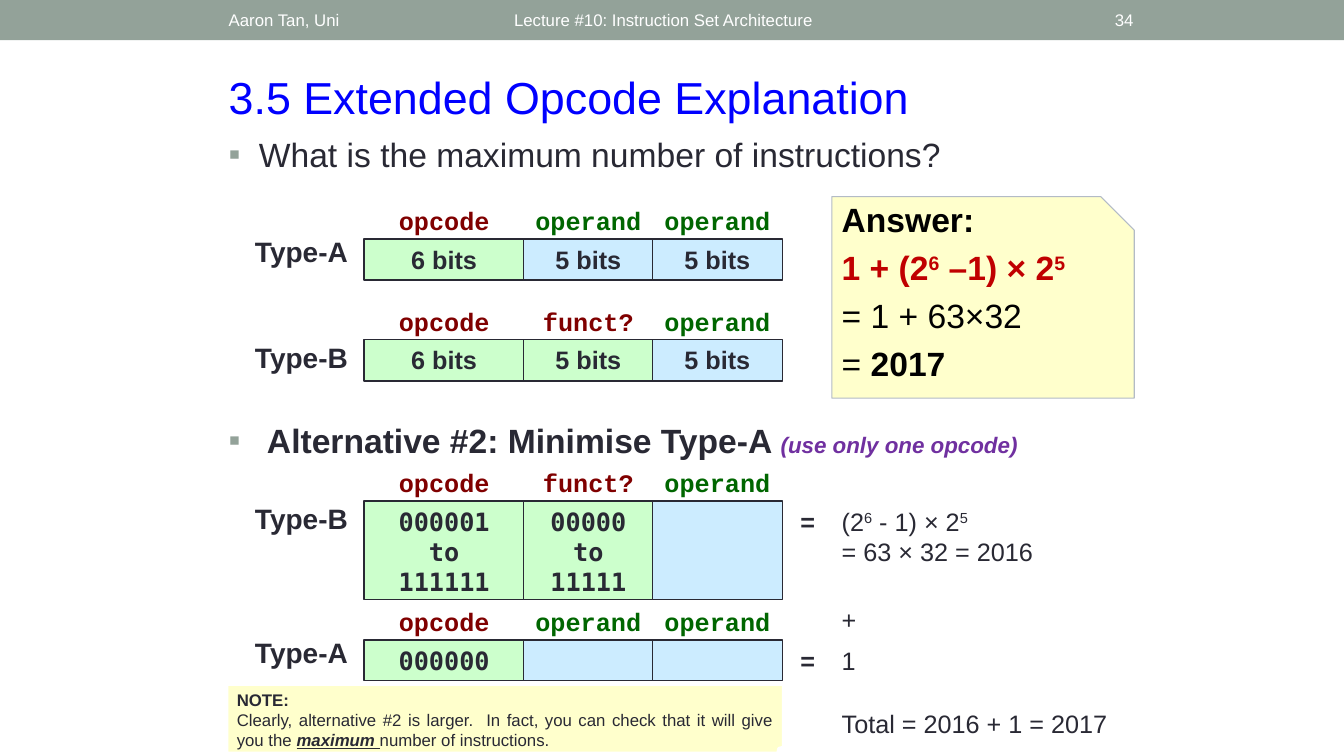
"""Build the slide on the maximum number of instructions with an extended opcode."""
from lxml import etree
from pptx import Presentation, util as u
from pptx.dml.color import RGBColor
from pptx.enum import shapes, text
from pptx.oxml import ns

INK, SAGE, WHITE, BLACK = "292934", "93A299", "FFFFFF", "000000"
MAROON, FOREST, RED, PURPLE = "800000", "006600", "C00000", "7030A0"
GREEN, BLUE, CREAM = "CCFFCC", "CCECFF", "FFFFCC"
LEFT, CENTER, RIGHT, JUSTIFY = (
    text.PP_ALIGN.LEFT, text.PP_ALIGN.CENTER, text.PP_ALIGN.RIGHT, text.PP_ALIGN.JUSTIFY)
TOP, MIDDLE = text.MSO_ANCHOR.TOP, text.MSO_ANCHOR.MIDDLE

deck = Presentation()
deck.slide_width, deck.slide_height = u.Inches(13.33), u.Inches(7.5)
slide = deck.slides.add_slide(deck.slide_layouts[6])


def place(box, preset=None, fill=None, line=None, weight=1):
    """Add a text box, or a filled preset shape, at box in inches."""
    box = [u.Inches(length) for length in box]
    if preset is None:
        return slide.shapes.add_textbox(*box)
    item = slide.shapes.add_shape(preset, *box)
    item.shadow.inherit = False
    item.fill.solid()
    item.fill.fore_color.rgb = RGBColor.from_string(fill)
    if line:
        item.line.color.rgb = RGBColor.from_string(line)
        item.line.width = u.Pt(weight)
    else:
        item.line.fill.background()
    return item


def write(item, paragraphs, size=18, color=INK, font="Arial", bold=False,
          align=LEFT, anchor=TOP, gap=0, bullet=0):
    """Write paragraphs, each a string or a list of (words, changes) runs."""
    frame = item.text_frame
    frame.word_wrap = True
    frame.vertical_anchor = anchor
    for index, runs in enumerate(paragraphs):
        paragraph = frame.add_paragraph() if index else frame.paragraphs[0]
        paragraph.alignment = align
        if index:
            paragraph.space_before = u.Pt(gap)
        if bullet:
            props = paragraph._p.get_or_add_pPr()
            props.set("marL", str(u.Inches(bullet)))
            props.set("indent", str(-u.Inches(bullet)))
            tint = etree.SubElement(props, ns.qn("a:buClr"))
            etree.SubElement(tint, ns.qn("a:srgbClr"), val=SAGE)
            etree.SubElement(props, ns.qn("a:buFont"), typeface="Arial")
            etree.SubElement(props, ns.qn("a:buChar"), char="▪")
        for words, changes in [(runs, {})] if isinstance(runs, str) else runs:
            run = paragraph.add_run()
            run.text = words
            run.font.name = font
            run.font.size = u.Pt(changes.get("size", size))
            run.font.bold = changes.get("bold", bold)
            run.font.italic = changes.get("italic", False)
            run.font.underline = changes.get("underline", False)
            run.font.color.rgb = RGBColor.from_string(changes.get("color", color))
            if changes.get("power"):
                run._r.get_or_add_rPr().set("baseline", "30000")
    return frame


place((0, 0, 13.33, 0.4), shapes.MSO_SHAPE.RECTANGLE, SAGE)
for left, width, words, align in [
    (2.17, 3.17, "Aaron Tan, Uni", LEFT),
    (5, 6, "Lecture #10: Instruction Set Architecture", LEFT),
    (10.39, 0.95, "34", RIGHT),
]:
    write(place((left, 0.02, width, 0.36)), [words], 12, WHITE, align=align, anchor=MIDDLE)

write(place((2.17, 0.64, 9.17, 0.64)), ["3.5 Extended Opcode Explanation"], 32, "0000FF")
write(place((2.17, 1.28, 9, 0.92)), ["What is the maximum number of instructions?"],
      24, bullet=0.3)
write(place((2.17, 4.12, 8.83, 0.6)), [[
    ("Alternative #2: Minimise Type-A ", {}),
    ("(use only one opcode)", {"size": 16, "color": PURPLE, "italic": True}),
]], 24, bold=True, bullet=0.38)

columns = [(3.61, 1.59), (5.19, 1.29), (6.47, 1.29)]
heading_width = 1.21
name_rise = {"Type-A": 0.09, "Type-B": 0.04}
fields = {
    "Type-A": [("opcode", MAROON, GREEN), ("operand", FOREST, BLUE), ("operand", FOREST, BLUE)],
    "Type-B": [("opcode", MAROON, GREEN), ("funct?", MAROON, GREEN), ("operand", FOREST, BLUE)],
}
bits = [["6 bits"], ["5 bits"], ["5 bits"]]
ranges = [["000001", "to", "111111"], ["00000", "to", "11111"], []]
formats = [
    ("Type-A", 2.37, 0.41, "Arial", bits),
    ("Type-B", 3.37, 0.41, "Arial", bits),
    ("Type-B", 4.97, 0.98, "DejaVu Sans Mono", ranges),
    ("Type-A", 6.35, 0.4, "DejaVu Sans Mono", [["000000"], [], []]),
]
for name, top, height, font, contents in formats:
    write(place((2.25, top - name_rise[name], 1.3, 0.43)), [name], 20, bold=True, align=RIGHT)
    for (left, width), (heading, tone, fill), content in zip(columns, fields[name], contents):
        cell = place((left, top, width, height), shapes.MSO_SHAPE.RECTANGLE, fill, INK)
        write(cell, content, font=font, bold=True, align=CENTER)
        label = place((left + (width - heading_width) / 2, top - 0.34, heading_width, 0.32))
        frame = write(label, [heading], color=tone, font="Courier New", bold=True, align=CENTER)
        frame.margin_left = frame.margin_right = u.Inches(0.01)
        frame.margin_top = frame.margin_bottom = u.Inches(0.01)

answer = place((8.25, 1.95, 3, 2), shapes.MSO_SHAPE.SNIP_1_RECTANGLE, CREAM, "B3BBC6", 0.75)
frame = write(answer, [
    "Answer:",
    [("1 + (2", {"color": RED}), ("6", {"color": RED, "power": True}),
     (" –1) × 2", {"color": RED}), ("5", {"color": RED, "power": True})],
    [("= 1 + 63×32", {"bold": False})],
    [("= ", {"bold": False}), ("2017", {})],
], 24, BLACK, bold=True, anchor=MIDDLE, gap=5.5)
frame.margin_top, frame.margin_bottom = 0, u.Inches(0.29)

for top in (4.97, 6.35):
    write(place((7.77, top, 0.48, 0.4)), ["="], bold=True, align=CENTER)
for top, height, lines in [
    (4.97, 0.98, [[("(2", {}), ("6", {"power": True}), (" - 1) × 2", {}), ("5", {"power": True})],
                  "= 63 × 32 = 2016"]),
    (5.95, 0.38, ["+"]),
    (6.35, 0.4, ["1"]),
    (6.98, 0.38, ["Total = 2016 + 1 = 2017"]),
]:
    write(place((8.25, top, 3, height)), lines)

note = place((2.25, 6.79, 5.52, 0.68), shapes.MSO_SHAPE.FOLDED_CORNER, CREAM, WHITE, 2.08)
corner = note._element.spPr.find(ns.qn("a:prstGeom")).find(ns.qn("a:avLst"))
etree.SubElement(corner, ns.qn("a:gd"), name="adj", fmla="val 8400")
write(note, [
    [("NOTE:", {"bold": True})],
    [("Clearly, alternative #2 is larger.  In fact, you can check that it will give you the ", {}),
     ("maximum ", {"bold": True, "italic": True, "underline": True}),
     ("number of instructions.", {})],
], 12, align=JUSTIFY)

deck.save("out.pptx")
